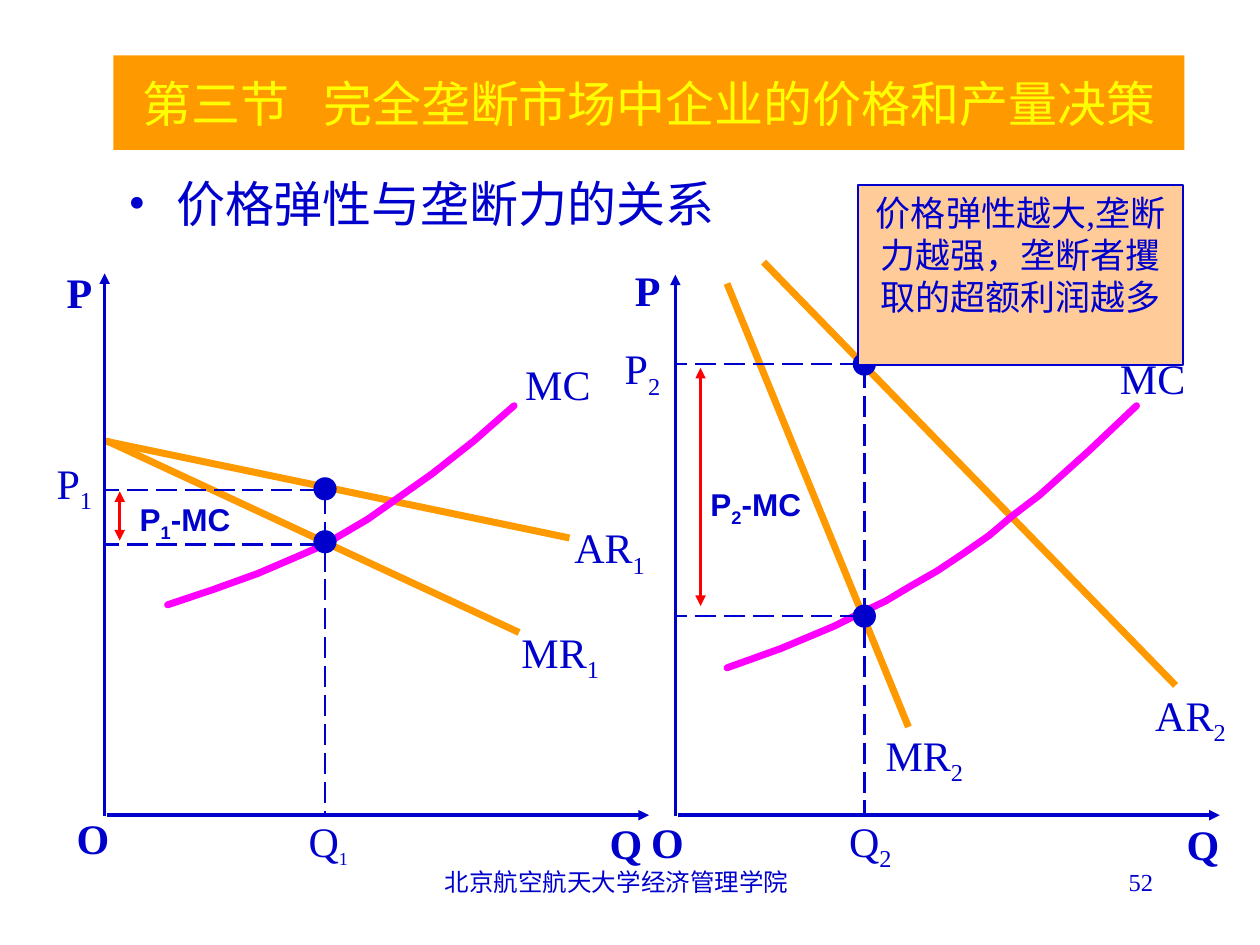
from dataclasses import dataclass

from lxml import etree
from pptx import Presentation
from pptx.dml.color import RGBColor
from pptx.enum.dml import MSO_LINE
from pptx.enum.shapes import MSO_CONNECTOR, MSO_SHAPE
from pptx.enum.text import MSO_ANCHOR, MSO_AUTO_SIZE, PP_ALIGN
from pptx.oxml.ns import qn
from pptx.util import Inches, Pt


@dataclass(frozen=True)
class Theme:
    blue: RGBColor = RGBColor(0x00, 0x00, 0xCC)
    orange: RGBColor = RGBColor(0xFF, 0x99, 0x00)
    magenta: RGBColor = RGBColor(0xFF, 0x00, 0xFF)
    red: RGBColor = RGBColor(0xFF, 0x00, 0x00)
    peach: RGBColor = RGBColor(0xFF, 0xCC, 0x99)
    yellow: RGBColor = RGBColor(0xFF, 0xFF, 0x00)
    serif: str = "Times New Roman"
    sans: str = "Arial"
    heading: int = 28
    label: int = 24
    note: int = 20
    gap: int = 18
    footer: int = 14


theme = Theme()
presentation = Presentation()
presentation.slide_width = Inches(10)
presentation.slide_height = Inches(7.5)
slide = presentation.slides.add_slide(presentation.slide_layouts[6])
shapes = slide.shapes


def add_text(box, runs, size=theme.label, color=theme.blue, font=theme.serif,
             bold=False, align=PP_ALIGN.LEFT, wrap=False, shape=None):
    """Write runs into a new text box, or into a given shape; "_" marks a subscript."""
    if shape is None:
        shape = shapes.add_textbox(*(Inches(value) for value in box))
    shape.text_frame.word_wrap = wrap
    if not wrap:
        shape.text_frame.auto_size = MSO_AUTO_SIZE.SHAPE_TO_FIT_TEXT
    paragraph = shape.text_frame.paragraphs[0]
    paragraph.alignment = align
    for text in runs:
        run = paragraph.add_run()
        run.text = text.lstrip("_")
        run.font.name = font
        run.font.size = Pt(size)
        run.font.bold = bold
        run.font.color.rgb = color
        if text.startswith("_"):
            run.font._element.set("baseline", "-25000")
    return paragraph


def add_line(start, end, color, width, dashed=False, arrows=()):
    """Draw a straight line; arrows names the ends that carry a triangle."""
    line = shapes.add_connector(MSO_CONNECTOR.STRAIGHT,
                                *(Inches(value) for value in (*start, *end)))
    line.line.color.rgb = color
    line.line.width = Pt(width)
    if dashed:
        line.line.dash_style = MSO_LINE.LONG_DASH
    for end_name in arrows:
        etree.SubElement(line.line._get_or_add_ln(), qn(f"a:{end_name}"), type="triangle")
    etree.SubElement(line._element.spPr, qn("a:effectLst"))


# Footer and slide number
add_text((3.31, 6.83, 3.17, 0.5), ["北京航空航天大学经济管理学院"], theme.footer,
         align=PP_ALIGN.CENTER, wrap=True)
add_text((7.17, 6.83, 2.08, 0.5), ["52"], theme.footer, align=PP_ALIGN.RIGHT, wrap=True)

# Bulleted subtitle
paragraph = add_text((0.92, 1.33, 8.17, 5), ["价格弹性与垄断力的关系"], theme.heading, wrap=True)
properties = paragraph._p.get_or_add_pPr()
properties.set("marL", str(Inches(0.38)))
properties.set("indent", str(-Inches(0.38)))
etree.SubElement(properties, qn("a:buFont"), typeface=theme.serif)
etree.SubElement(properties, qn("a:buChar"), char="•")

# Two charts: elastic demand on the left, inelastic demand on the right
charts = [
    dict(
        number="_1", axis_x=0.83, axis_top=2.17, axis_end=5.15,
        demand=[((0.83, 3.5), (4.52, 4.27)), ((0.85, 3.5), (4.12, 5.02))],
        demand_labels=[(4.46, 4.09), (4.04, 4.92)],
        cost=[(1.33, 4.8), (1.69, 4.68), (2.05, 4.55), (2.4, 4.4), (2.58, 4.32),
              (2.75, 4.22), (2.92, 4.12), (3.09, 4), (3.43, 3.76), (3.76, 3.5),
              (4.08, 3.22)],
        cost_label=(4.07, 2.8),
        axis_labels={"P": (0.43, 2.07), "Q": (4.74, 6.44), "O": (0.51, 6.4)},
        quantity=2.58, dots=(3.88, 4.3), levels=(3.89, 4.32),
        quantity_label=(2.35, 6.42, 0.51, 0.52), price_label=(0.35, 3.58),
        gap_x=0.95, gap_span=(3.9, 4.29), gap_label=(1.01, 3.92),
    ),
    dict(
        number="_2", axis_x=5.36, axis_top=2.18, axis_end=9.68,
        demand=[((6.06, 2.08), (9.33, 5.44)), ((5.77, 2.25), (7.21, 5.77))],
        demand_labels=[(9.07, 5.42), (6.93, 5.74)],
        cost=[(5.77, 5.3), (6.19, 5.15), (6.62, 4.97), (6.82, 4.87), (7.03, 4.77),
              (7.23, 4.65), (7.44, 4.53), (7.65, 4.39), (7.85, 4.25), (8.04, 4.09),
              (8.25, 3.93), (8.64, 3.58), (9.02, 3.22)],
        cost_label=(8.79, 2.75),
        axis_labels={"P": (4.94, 2.05), "Q": (9.32, 6.45), "O": (5.07, 6.43)},
        quantity=6.86, dots=(2.89, 4.89), levels=(2.89, 4.89),
        quantity_label=(6.64, 6.42, 0.54, 0.55), price_label=(4.86, 2.67),
        gap_x=5.56, gap_span=(2.92, 4.81), gap_label=(5.54, 3.8),
    ),
]
axis_y = 6.47
dot_size = 0.17

for chart in charts:
    number, axis_x, quantity = chart["number"], chart["axis_x"], chart["quantity"]

    # Demand and marginal revenue
    for name, width, ends, place in zip(("AR", "MR"), (0.76, 0.82),
                                        chart["demand"], chart["demand_labels"]):
        add_line(*ends, theme.orange, 4)
        add_text((*place, width, 0.55), [name, number])

    # Marginal cost
    points = [(Inches(x), Inches(y)) for x, y in chart["cost"]]
    builder = shapes.build_freeform(*points[0])
    builder.add_line_segments(points[1:], close=False)
    curve = builder.convert_to_shape()
    curve.shadow.inherit = False
    curve.fill.background()
    curve.line.color.rgb = theme.magenta
    curve.line.width = Pt(4)
    curve.line._get_or_add_ln().set("cap", "rnd")
    add_text((*chart["cost_label"], 0.72, 0.5), ["MC"])

    # Axes
    add_line((axis_x, axis_y + 0.01), (axis_x, chart["axis_top"]), theme.blue, 2,
             arrows=["tailEnd"])
    add_line((axis_x + 0.02, axis_y), (chart["axis_end"], axis_y), theme.blue, 2,
             arrows=["tailEnd"])
    for name, place in chart["axis_labels"].items():
        add_text((*place, 0.4 if name == "P" else 0.46, 0.5), [name], bold=True)

    # Equilibrium dots and guides
    for dot_y in chart["dots"]:
        dot = shapes.add_shape(MSO_SHAPE.OVAL, Inches(quantity - dot_size / 2),
                               Inches(dot_y - dot_size / 2),
                               Inches(dot_size), Inches(dot_size))
        dot.shadow.inherit = False
        dot.fill.solid()
        dot.fill.fore_color.rgb = theme.blue
        dot.line.color.rgb = theme.blue
        dot.line.width = Pt(1)
    add_line((quantity, chart["levels"][0] + 0.02), (quantity, axis_y), theme.blue, 1.5,
             dashed=True)
    for level in chart["levels"]:
        add_line((quantity - 0.03, level), (axis_x - 0.01, level), theme.blue, 1.5, dashed=True)
    quantity_text = add_text(chart["quantity_label"], ["Q", number])
    if number == "_1":
        quantity_text.runs[1].font.size = Pt(theme.gap)
    add_text((*chart["price_label"], 0.48, 0.55), ["P", number])

    # Gap between price and marginal cost
    top, bottom = chart["gap_span"]
    add_line((chart["gap_x"], top), (chart["gap_x"], bottom), theme.red, 2,
             arrows=["headEnd", "tailEnd"])
    add_text((*chart["gap_label"], 0.92, 0.44), ["P", number, "-MC"], theme.gap,
             font=theme.sans, bold=True)

# Conclusion note and title banner
panels = [
    ((6.81, 1.47, 2.58, 1.43), theme.peach, theme.blue, theme.note, theme.blue, MSO_ANCHOR.TOP,
     ["价格弹性越大,垄断力越强，垄断者攫取的超额利润越多"]),
    ((0.9, 0.44, 8.5, 0.75), theme.orange, None, theme.heading, theme.yellow, MSO_ANCHOR.MIDDLE,
     ["第三节", " ", "完全垄断市场中企业的价格和产量决策"]),
]
for box, fill, outline, size, color, anchor, runs in panels:
    panel = shapes.add_shape(MSO_SHAPE.RECTANGLE, *(Inches(value) for value in box))
    panel.shadow.inherit = False
    panel.fill.solid()
    panel.fill.fore_color.rgb = fill
    if outline is None:
        panel.line.fill.background()
    else:
        panel.line.color.rgb = outline
        panel.line.width = Pt(1)
    panel.text_frame.vertical_anchor = anchor
    paragraph = add_text(box, runs, size, color, align=PP_ALIGN.CENTER, wrap=True, shape=panel)

# Widen the single space after the section number in the title
paragraph.runs[1].font._element.set("spc", "1300")

presentation.save("out.pptx")
